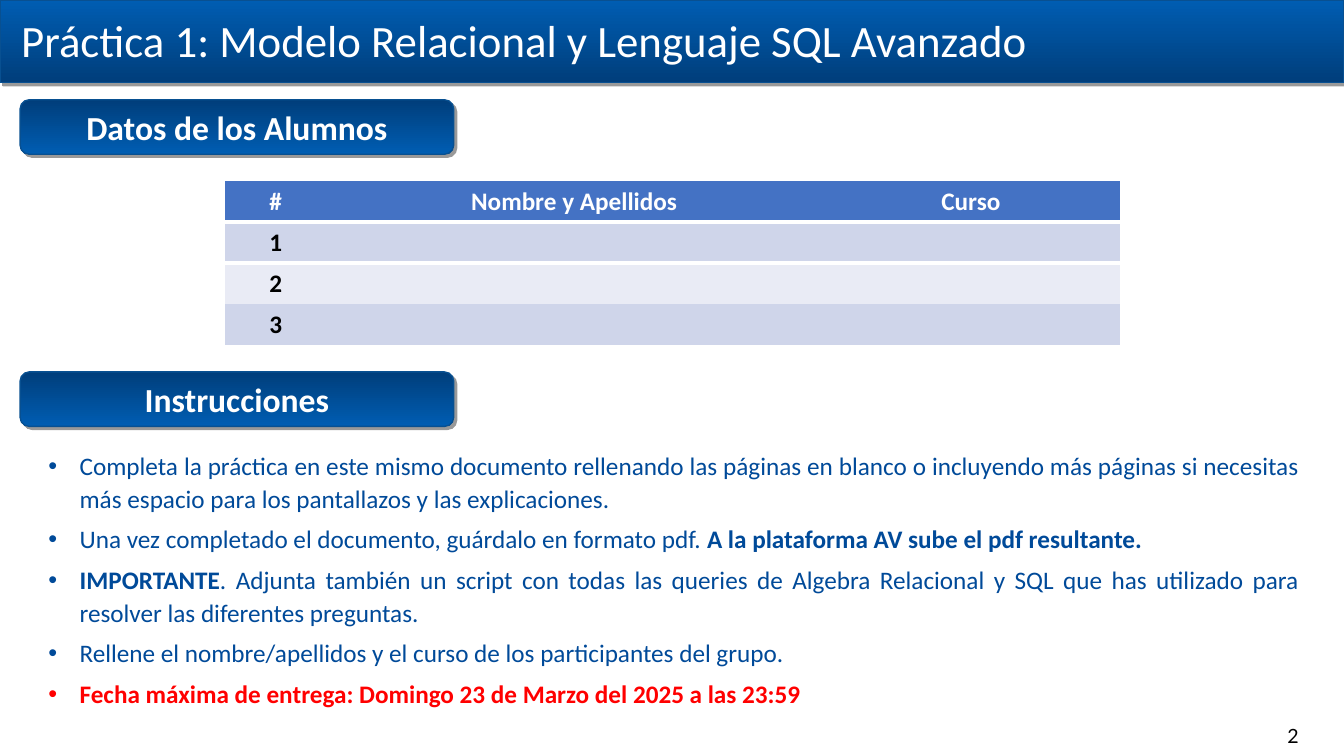
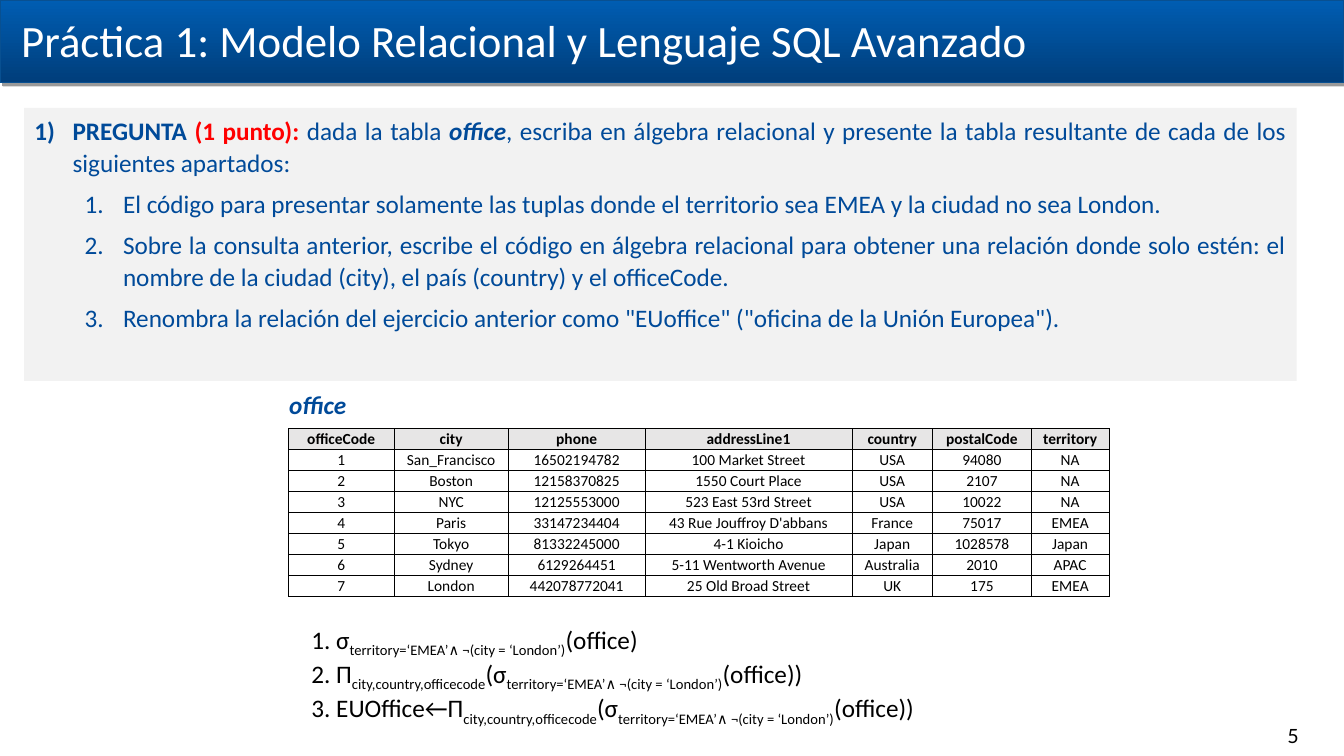
import pptx
import pptx.dml.color
import pptx.enum.shapes
import pptx.enum.text
import pptx.oxml
import pptx.oxml.ns
import pptx.util
from pptx.util import Inches, Pt

ALIGN = pptx.enum.text.PP_ALIGN
ANCHOR = pptx.enum.text.MSO_ANCHOR
SHAPES = pptx.enum.shapes.MSO_SHAPE

FONT, NUMBER_FONT = "Calibri", "Lato"
DARK, BRIGHT, OUTLINE = "003E7B", "005DB2", "085091"
BLUE, RED, BLACK, WHITE = "004A99", "FF0000", "000000", "FFFFFF"
PANEL, GREY_HEADER = "F2F2F2", "E7E6E6"
HEADER, BANDS = "4472C4", ("CFD5EA", "E9EBF5")
NO_STYLE = "{2D5ABB26-0587-4C30-8999-92F81FD0307C}"

TITLE = "Práctica 1: Modelo Relacional y Lenguaje SQL Avanzado"

# A paragraph is a list of (text, style) runs; styles: b bold, i italic, r red, s subscript.
INSTRUCTIONS = [
    [("Completa la práctica en este mismo documento rellenando las páginas en blanco o incluyendo "
      "más páginas si necesitas más espacio para los pantallazos y las explicaciones.", "")],
    [("Una vez completado el documento, guárdalo en formato pdf. ", ""),
     ("A la plataforma AV sube el pdf resultante.", "b")],
    [("IMPORTANTE", "b"),
     (". Adjunta también un script con todas las queries de Algebra Relacional y SQL que has "
      "utilizado para resolver las diferentes preguntas.", "")],
    [("Rellene el nombre/apellidos y el curso de los participantes del grupo.", "")],
    [("Fecha máxima de entrega: Domingo 23 de Marzo del 2025 a las 23:59", "br")],
]
STUDENTS = [("#", "Nombre y Apellidos", "Curso"), ("1", "", ""), ("2", "", ""), ("3", "", "")]
STUDENT_WIDTHS = (1.01, 4.91, 2.96)

QUESTION = [
    [("PREGUNTA ", "b"), ("(1 punto): ", "br"), ("dada la tabla ", ""), ("office", "bi"),
     (", escriba en álgebra relacional y presente la tabla resultante de cada de los "
      "siguientes apartados:", "")],
    [("El código para presentar solamente las tuplas donde el territorio sea EMEA y la ciudad "
      "no sea London.", "")],
    [("Sobre la consulta anterior, escribe el código en álgebra relacional para obtener una "
      "relación donde solo estén: el nombre de la ciudad (city), el país (country) y el "
      "officeCode.", "")],
    [('Renombra la relación del ejercicio anterior como "EUoffice" '
      '("oficina de la Unión Europea").', "")],
]
OFFICES = [
    ("officeCode", "city", "phone", "addressLine1", "country", "postalCode", "territory"),
    ("1", "San_Francisco", "16502194782", "100 Market Street", "USA", "94080", "NA"),
    ("2", "Boston", "12158370825", "1550 Court Place", "USA", "2107", "NA"),
    ("3", "NYC", "12125553000", "523 East 53rd Street", "USA", "10022", "NA"),
    ("4", "Paris", "33147234404", "43 Rue Jouffroy D'abbans", "France", "75017", "EMEA"),
    ("5", "Tokyo", "81332245000", "4-1 Kioicho", "Japan", "1028578", "Japan"),
    ("6", "Sydney", "6129264451", "5-11 Wentworth Avenue", "Australia", "2010", "APAC"),
    ("7", "London", "442078772041", "25 Old Broad Street", "UK", "175", "EMEA"),
]
OFFICE_WIDTHS = (1.05, 1.13, 1.36, 2.05, 0.8, 0.98, 0.77)

CONDITION = ("territory=‘EMEA’∧ ¬(city = ‘London’)", "s")
PROJECTION = [("city,country,officecode", "s"), ("(σ", ""), CONDITION, ("(office))", "")]
FORMULAS = [
    [("1. σ", ""), CONDITION, ("(office)", "")],
    [("2. Π", ""), *PROJECTION],
    [("3. EUOffice←Π", ""), *PROJECTION],
]


def rgb(color):
    return pptx.dml.color.RGBColor.from_string(color)


def add_xml(parent, xml):
    declaration = pptx.oxml.ns.nsdecls("a")
    parent.append(pptx.oxml.parse_xml(xml.replace(" ", f" {declaration} ", 1)))


def format_run(run, size, color, style="", font=FONT):
    run.font.name, run.font.size = font, Pt(size)
    run.font.bold, run.font.italic = "b" in style, "i" in style
    run.font.color.rgb = rgb(RED if "r" in style else color)
    if "s" in style:
        run.font._element.set("baseline", "-25000")


def write(text_frame, paragraphs, size, color, align=ALIGN.LEFT, font=FONT):
    text_frame.word_wrap = True
    text_frame.auto_size = pptx.enum.text.MSO_AUTO_SIZE.NONE
    for index, runs in enumerate(paragraphs):
        paragraph = text_frame.paragraphs[0] if index == 0 else text_frame.add_paragraph()
        paragraph.alignment = align
        for text, style in runs:
            run = paragraph.add_run()
            run.text = text
            format_run(run, size, color, style, font)


def place(shape, left, top, width, height):
    shape.left, shape.top = Inches(left), Inches(top)
    shape.width, shape.height = Inches(width), Inches(height)


def add_text(slide, box, paragraphs, size, color, align=ALIGN.LEFT, font=FONT):
    text_box = slide.shapes.add_textbox(*map(Inches, box))
    write(text_box.text_frame, paragraphs, size, color, align, font)


def add_gradient_shape(slide, kind, box, top_color, bottom_color):
    shape = slide.shapes.add_shape(kind, *map(Inches, box))
    shape.fill.gradient()
    shape.fill.gradient_angle = 270
    for stop, color in zip(shape.fill.gradient_stops, (top_color, bottom_color)):
        stop.color.rgb = rgb(color)
    shape.line.color.rgb = rgb(OUTLINE)
    shape.line.width = Pt(1)
    add_xml(shape.element.spPr,
            '<a:effectLst ><a:outerShdw blurRad="0" dist="38100" dir="2700000" rotWithShape="0">'
            '<a:srgbClr val="000000"><a:alpha val="40000"/></a:srgbClr>'
            '</a:outerShdw></a:effectLst>')
    return shape


def add_slide(presentation, number):
    """Add a slide with the title band, the title and the page number."""
    slide = presentation.slides.add_slide(presentation.slide_layouts[1])
    title = slide.shapes.title
    band = add_gradient_shape(slide, SHAPES.RECTANGLE, (0, 0, 13.33, 0.82), BRIGHT, DARK)
    title.element.addprevious(band.element)
    place(title, 0.11, 0.07, 12.63, 0.64)
    write(title.text_frame, [[(TITLE, "")]], 32, WHITE)
    add_text(slide, (12.42, 7.13, 0.81, 0.34), [[(str(number), "")]], 14, BLACK,
             ALIGN.CENTER, NUMBER_FONT)
    return slide


def add_heading(slide, top, text):
    heading = add_gradient_shape(slide, SHAPES.ROUNDED_RECTANGLE, (0.2, top, 4.3, 0.54),
                                 DARK, BRIGHT)
    heading.text_frame.vertical_anchor = ANCHOR.MIDDLE
    write(heading.text_frame, [[(text, "b")]], 24, WHITE, ALIGN.CENTER)


def write_list(slide, box, paragraphs, markers):
    """Fill the body placeholder; markers gives (level, indent, hanging, bullet XML) per item."""
    body = slide.placeholders[1]
    place(body, *box)
    write(body.text_frame, paragraphs, 18, BLUE, ALIGN.JUSTIFY)
    for paragraph, (level, indent, hanging, bullet) in zip(body.text_frame.paragraphs, markers):
        paragraph.level = level
        properties = paragraph._p.get_or_add_pPr()
        properties.set("marL", str(Inches(indent)))
        properties.set("indent", str(-Inches(hanging)))
        add_xml(properties, '<a:buFont typeface="Arial"/>' if "buChar" in bullet
                else '<a:buFont typeface="+mj-lt"/>')
        add_xml(properties, bullet)
        paragraph.line_spacing = 1.07
        paragraph.space_before, paragraph.space_after = Pt(0), Pt(6)
    return body


def set_border(cell, side, color, width):
    add_xml(cell._tc.get_or_add_tcPr(),
            f'<a:ln{side} w="{Pt(width)}"><a:solidFill><a:srgbClr val="{color}"/>'
            f'</a:solidFill></a:ln{side}>')


def add_table(slide, left, top, height, widths, rows, size, style_cell):
    """Add a centred table; style_cell(cell, row, column) sets borders and fill, returns run style."""
    frame = slide.shapes.add_table(len(rows), len(widths), Inches(left), Inches(top),
                                   Inches(sum(widths)), Inches(height))
    table = frame.table
    table.first_row = table.horz_banding = False
    for style_id in frame.element.iter(pptx.oxml.ns.qn("a:tableStyleId")):
        style_id.text = NO_STYLE
    for column, width in zip(table.columns, widths):
        column.width = Inches(width)
    for row_index, values in enumerate(rows):
        for column_index, value in enumerate(values):
            cell = table.cell(row_index, column_index)
            color, style = style_cell(cell, row_index)
            cell.text = value
            paragraph = cell.text_frame.paragraphs[0]
            paragraph.alignment = ALIGN.CENTER
            for run in paragraph.runs:
                format_run(run, size, color, style)


def style_student_cell(cell, row):
    if row == 0:
        set_border(cell, "B", WHITE, 3)
    else:
        set_border(cell, "T", WHITE, 3 if row == 1 else 0)
    cell.fill.solid()
    cell.fill.fore_color.rgb = rgb(BANDS[(row - 1) % 2] if row else HEADER)
    return (BLACK if row else WHITE), "b"


def style_office_cell(cell, row):
    for side in "LRTB":
        set_border(cell, side, BLACK, 0.5)
    if row == 0:
        cell.fill.solid()
        cell.fill.fore_color.rgb = rgb(GREY_HEADER)
    else:
        cell.fill.background()
    cell.margin_left = cell.margin_right = cell.margin_top = Inches(0.01)
    cell.margin_bottom = 0
    cell.vertical_anchor = ANCHOR.MIDDLE
    return BLACK, ("" if row else "b")


def build_instructions(presentation):
    slide = add_slide(presentation, 2)
    add_heading(slide, 0.99, "Datos de los Alumnos")
    add_table(slide, 2.23, 1.8, 1.62, STUDENT_WIDTHS, STUDENTS, 18, style_student_cell)
    add_heading(slide, 3.69, "Instrucciones")
    marker = (0, 0.31, 0.31, '<a:buChar char="•"/>')
    write_list(slide, (0.38, 4.4, 12.61, 2.71), INSTRUCTIONS, [marker] * len(INSTRUCTIONS))


def build_question(presentation):
    slide = add_slide(presentation, 5)
    question = (0, 0.38, 0.38, '<a:buAutoNum type="arabicParenR"/>')
    part = (1, 0.88, 0.38, '<a:buAutoNum type="arabicPeriod"/>')
    body = write_list(slide, (0.24, 1.07, 12.62, 2.71), QUESTION,
                      [question] + [part] * (len(QUESTION) - 1))
    body.fill.solid()
    body.fill.fore_color.rgb = rgb(PANEL)
    add_text(slide, (2.77, 3.81, 0.94, 0.4), [[("office", "bi")]], 18, BLUE)
    add_table(slide, 2.86, 4.25, 1.67, OFFICE_WIDTHS, OFFICES, 11, style_office_cell)
    add_text(slide, (2.99, 6.14, 8.01, 1.01), FORMULAS, 18, BLACK)


def main():
    presentation = pptx.Presentation()
    presentation.slide_width, presentation.slide_height = Inches(13.33), Inches(7.5)
    build_instructions(presentation)
    build_question(presentation)
    presentation.save("out.pptx")


if __name__ == "__main__":
    main()
